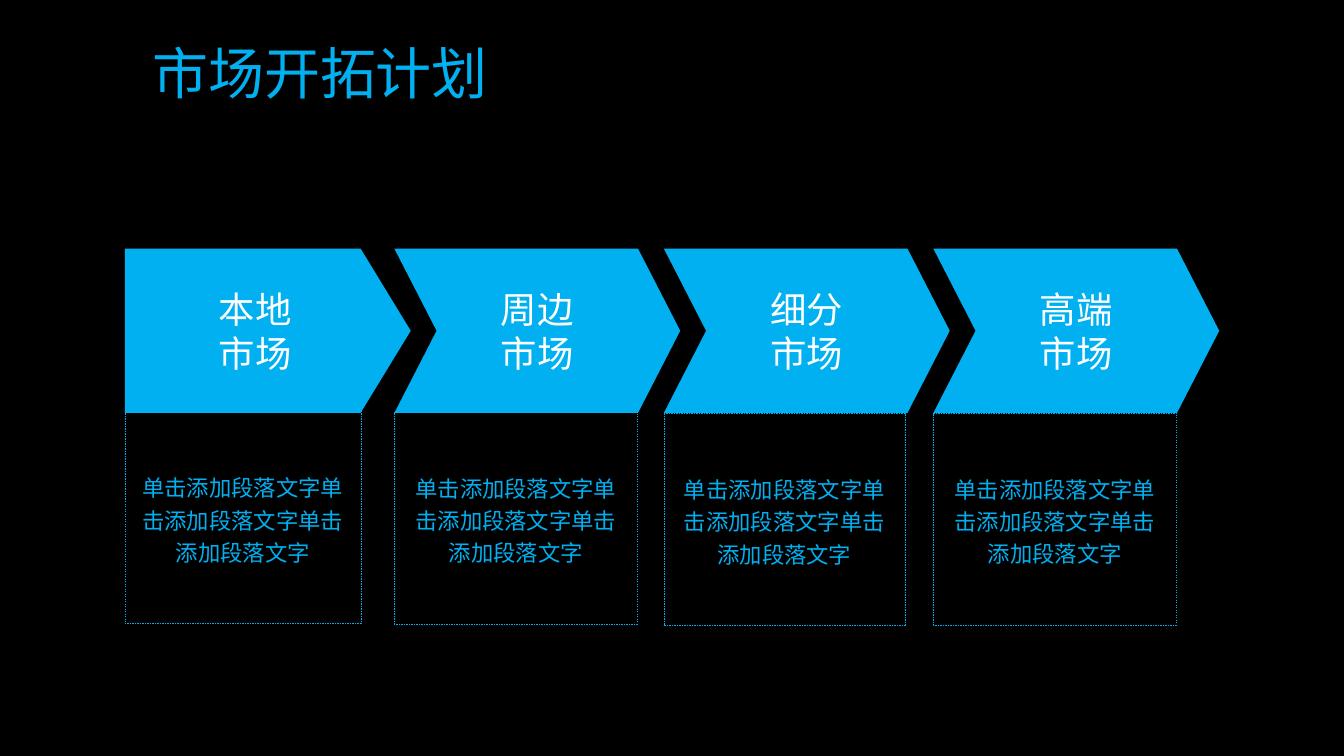
from dataclasses import dataclass

from lxml import etree
from pptx import Presentation
from pptx.dml.color import RGBColor
from pptx.enum.dml import MSO_LINE
from pptx.enum.shapes import MSO_SHAPE
from pptx.enum.text import MSO_ANCHOR, MSO_AUTO_SIZE, PP_ALIGN
from pptx.oxml.ns import qn
from pptx.slide import Slide
from pptx.text.text import TextFrame
from pptx.util import Pt

PENTAGON, CHEVRON = MSO_SHAPE.PENTAGON, MSO_SHAPE.CHEVRON
ROUNDED = MSO_SHAPE.ROUNDED_RECTANGLE
LEFT, CENTER = PP_ALIGN.LEFT, PP_ALIGN.CENTER
MIDDLE = MSO_ANCHOR.MIDDLE
NO_AUTOFIT = MSO_AUTO_SIZE.NONE
DASH = MSO_LINE.DASH

COLORS = {"background": "000000", "accent": "00B0F0", "label": "FFFFFF"}
FONT = "Noto Sans CJK SC"
NOTE = "单击添加段落文字" * 3

FIRST_LEFT, PITCH = 89.2, 192.5
ARROW_TOP, ARROW_WIDTH, ARROW_HEIGHT = 177.6, 204.2, 117.4
NOTE_HEIGHT = 151.5


@dataclass(frozen=True)
class Market:
    label: str
    arrow: MSO_SHAPE
    point: float
    note_top: float
    note_width: float


MARKETS = (
    Market("本地\n市场", PENTAGON, 0.305, 293.9, 168.5),
    Market("周边\n市场", CHEVRON, 0.257, 294.1, 173.7),
    Market("细分\n市场", CHEVRON, 0.257, 295.1, 172.3),
    Market("高端\n市场", CHEVRON, 0.257, 294.8, 173.7),
)


def color(name: str) -> RGBColor:
    return RGBColor.from_string(COLORS[name])


def write(frame: TextFrame, text: str, size: float, color_name: str,
          align: PP_ALIGN = CENTER, spacing: float = 1.0) -> None:
    frame.text = text
    frame.vertical_anchor = MIDDLE
    for paragraph in frame.paragraphs:
        paragraph.alignment = align
        paragraph.line_spacing = spacing
        paragraph.font.size = Pt(size)
        paragraph.font.color.rgb = color(color_name)
        paragraph.font.name = FONT
        defaults = paragraph._p.pPr.find(qn("a:defRPr"))
        etree.SubElement(defaults, qn("a:ea"), typeface=FONT)


def add_title(slide: Slide, text: str) -> None:
    title = slide.shapes.title
    title.left, title.top = Pt(108.7), Pt(27.4)
    title.width, title.height = Pt(275.8), Pt(48.2)
    frame = title.text_frame
    frame.margin_left = frame.margin_right = Pt(0)
    frame.margin_top = frame.margin_bottom = Pt(0)
    frame.auto_size = NO_AUTOFIT
    write(frame, text, 40, "accent", LEFT)


def add_note(slide: Slide, market: Market, left: float) -> None:
    note = slide.shapes.add_shape(ROUNDED, Pt(left), Pt(market.note_top),
                                  Pt(market.note_width), Pt(NOTE_HEIGHT))
    note.adjustments[0] = 0
    note.shadow.inherit = False
    note.fill.background()
    note.line.color.rgb = color("accent")
    note.line.width = Pt(0.25)
    note.line.dash_style = DASH
    note.text_frame.word_wrap = True
    write(note.text_frame, NOTE, 16, "accent", spacing=1.2)


def add_arrow(slide: Slide, market: Market, left: float) -> None:
    arrow = slide.shapes.add_shape(market.arrow, Pt(left), Pt(ARROW_TOP),
                                   Pt(ARROW_WIDTH), Pt(ARROW_HEIGHT))
    arrow.adjustments[0] = market.point
    arrow.shadow.inherit = False
    arrow.fill.solid()
    arrow.fill.fore_color.rgb = color("accent")
    arrow.line.fill.background()
    arrow.text_frame.word_wrap = False
    write(arrow.text_frame, market.label, 26, "label")


def main() -> None:
    presentation = Presentation()
    presentation.slide_width, presentation.slide_height = Pt(960), Pt(540)
    slide = presentation.slides.add_slide(presentation.slide_layouts[5])
    slide.background.fill.solid()
    slide.background.fill.fore_color.rgb = color("background")
    add_title(slide, "市场开拓计划")
    for index, market in enumerate(MARKETS):
        left = FIRST_LEFT + index * PITCH
        add_note(slide, market, left)
        add_arrow(slide, market, left)
    presentation.save("out.pptx")


if __name__ == "__main__":
    main()
